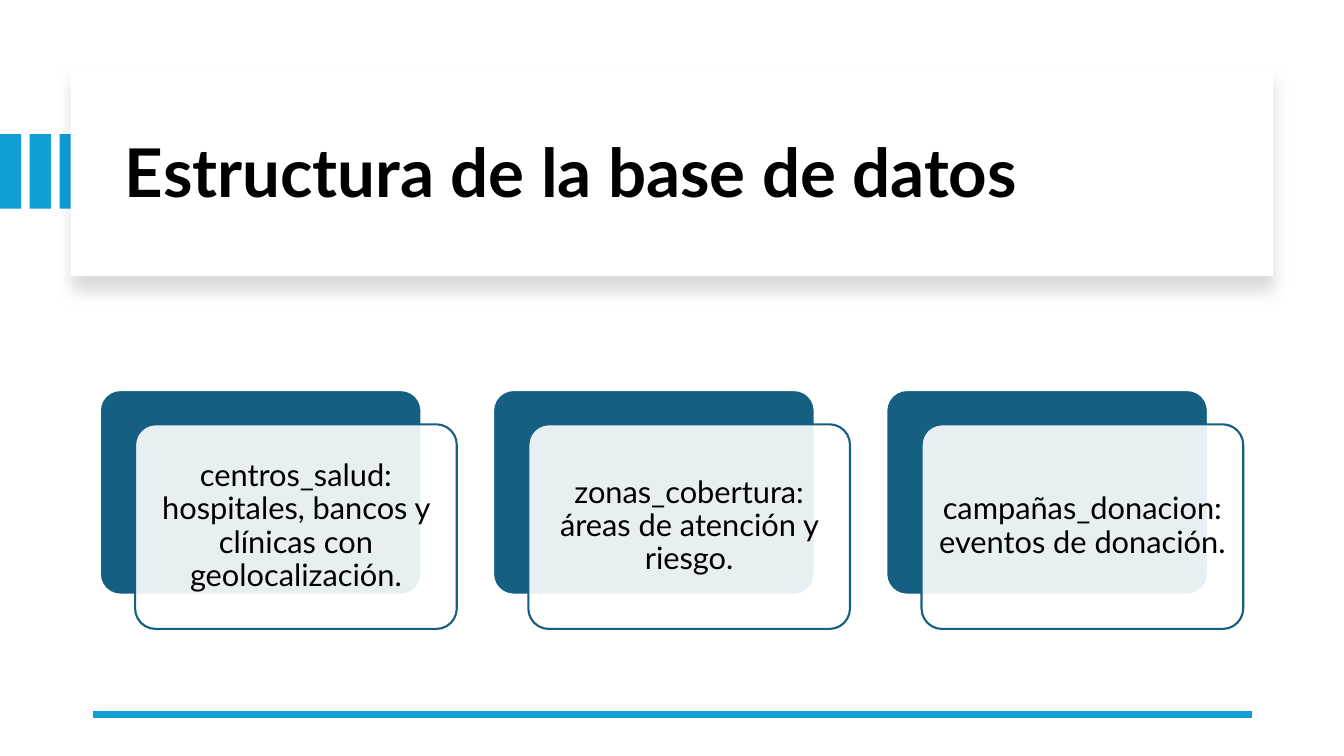
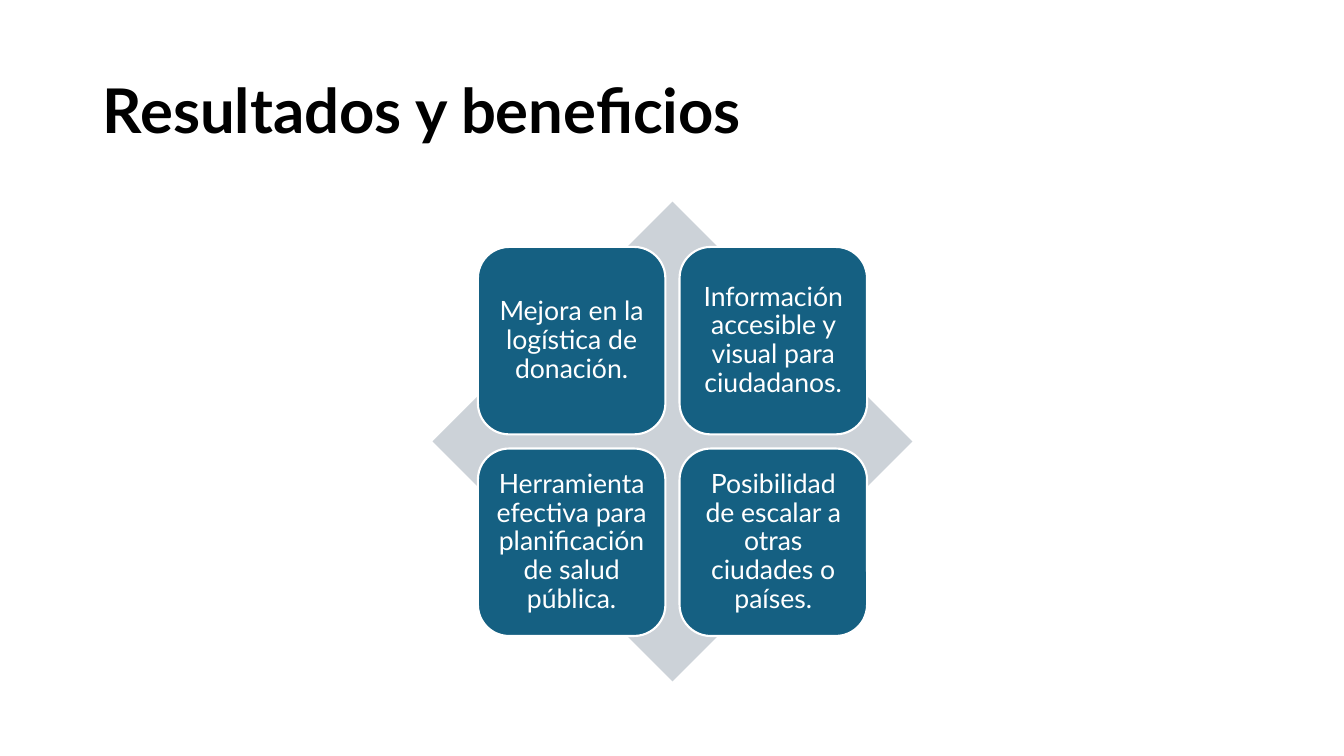
from lxml import etree
from pptx import Presentation
from pptx import util as u
from pptx.dml.color import RGBColor
from pptx.enum import shapes, text
from pptx.oxml.ns import qn

COLORS = {
    "white": "FFFFFF",
    "black": "000000",
    "accent": "0F9ED5",
    "teal": "156082",
    "gray": "CCD2D8",
}
SHAPE = shapes.MSO_SHAPE


def rgb(name):
    return RGBColor.from_string(COLORS[name])


class Deck:
    font = "Lato"

    def __init__(self):
        self.prs = Presentation()
        self.prs.slide_width = u.Inches(13.33)
        self.prs.slide_height = u.Inches(7.5)
        self.s = None

    def slide(self):
        self.s = self.prs.slides.add_slide(self.prs.slide_layouts[6])
        fill = self.s.background.fill
        fill.solid()
        fill.fore_color.rgb = rgb("white")

    def label(self, sp, content, size, color, align, bold=False, inset=None):
        tf = sp.text_frame
        tf.text = content
        tf.word_wrap = True
        tf.vertical_anchor = text.MSO_ANCHOR.MIDDLE
        if inset is not None:
            tf.margin_left = tf.margin_right = u.Inches(inset)
            tf.margin_top = tf.margin_bottom = u.Inches(inset)
        p = tf.paragraphs[0]
        p.alignment = align
        p.line_spacing = 0.9
        r = p.runs[0]
        r.font.name = self.font
        r.font.size = u.Pt(size)
        r.font.bold = bold
        r.font.color.rgb = rgb(color)

    def title(self, content, box, size):
        sp = self.s.shapes.add_textbox(*map(u.Inches, box))
        self.label(sp, content, size, "black", text.PP_ALIGN.LEFT, bold=True)

    def shape(self, kind, box, fill, line=None, adj=None, opacity=None):
        sp = self.s.shapes.add_shape(kind, *map(u.Inches, box))
        sp.shadow.inherit = False
        sp.fill.solid()
        sp.fill.fore_color.rgb = rgb(fill)
        if line:
            sp.line.color.rgb = rgb(line)
            sp.line.width = u.Pt(1.5)
        else:
            sp.line.fill.background()
        if adj is not None:
            sp.adjustments[0] = adj
        if opacity is not None:
            clr = sp._element.spPr.find(qn("a:solidFill"))[0]
            etree.SubElement(clr, qn("a:alpha"), val=str(opacity * 1000))
        return sp

    def panel(self, box):
        sp = self.shape(SHAPE.RECTANGLE, box, "white")
        effects = sp._element.spPr.find(qn("a:effectLst"))
        shadow = etree.SubElement(
            effects, qn("a:outerShdw"), blurRad=str(u.Pt(11)),
            dist=str(u.Pt(10)), dir="5400000", algn="t", rotWithShape="0")
        clr = etree.SubElement(shadow, qn("a:srgbClr"), val=COLORS["black"])
        etree.SubElement(clr, qn("a:alpha"), val="15000")

    def rule(self, x1, x2, y):
        line = self.s.shapes.add_connector(
            shapes.MSO_CONNECTOR.STRAIGHT, *map(u.Inches, (x1, y, x2, y)))
        line.line.color.rgb = rgb("accent")
        line.line.width = u.Pt(4.5)
        etree.SubElement(line._element.spPr, qn("a:effectLst"))

    def layered_card(self, x, y, content):
        w, h = 3.19, 2.03
        self.shape(SHAPE.ROUNDED_RECTANGLE, (x, y, w, h), "teal", "white", 0.1)
        sp = self.shape(SHAPE.ROUNDED_RECTANGLE, (x + 0.35, y + 0.34, w, h),
                        "white", "teal", 0.1, opacity=90)
        self.label(sp, content, 22, "black", text.PP_ALIGN.CENTER, inset=0.09)

    def tile(self, x, y, content):
        sp = self.shape(SHAPE.ROUNDED_RECTANGLE, (x, y, 1.86, 1.86),
                        "teal", "white")
        self.label(sp, content, 19, "white", text.PP_ALIGN.CENTER, inset=0.08)


def database_slide(deck):
    deck.slide()
    for i in range(3):
        deck.shape(SHAPE.RECTANGLE, (i * 0.295, 1.33, 0.21, 0.74), "accent")
    deck.panel((0.7, 0.67, 11.93, 2.07))
    deck.title("Estructura de la base de datos", (1.14, 0.89, 11.13, 1.7), 48)
    deck.rule(12.42, 0.92, 7.09)
    tables = [
        "centros_salud: hospitales, bancos y clínicas con geolocalización.",
        "zonas_cobertura: áreas de atención y riesgo.",
        "campañas_donacion: eventos de donación.",
    ]
    for i, content in enumerate(tables):
        deck.layered_card(0.99 + i * 3.9, 3.87, content)


def benefits_slide(deck):
    deck.slide()
    deck.title("Resultados y beneficios", (0.92, 0.4, 11.5, 1.45), 44)
    deck.shape(SHAPE.DIAMOND, (4.29, 2, 4.76, 4.76), "gray")
    benefits = [
        "Mejora en la logística de donación.",
        "Información accesible y visual para ciudadanos.",
        "Herramienta efectiva para planificación de salud pública.",
        "Posibilidad de escalar a otras ciudades o países.",
    ]
    for i, content in enumerate(benefits):
        row, col = divmod(i, 2)
        deck.tile(4.74 + col * 2, 2.45 + row * 2, content)


def main():
    deck = Deck()
    database_slide(deck)
    benefits_slide(deck)
    deck.prs.save("out.pptx")


if __name__ == "__main__":
    main()
